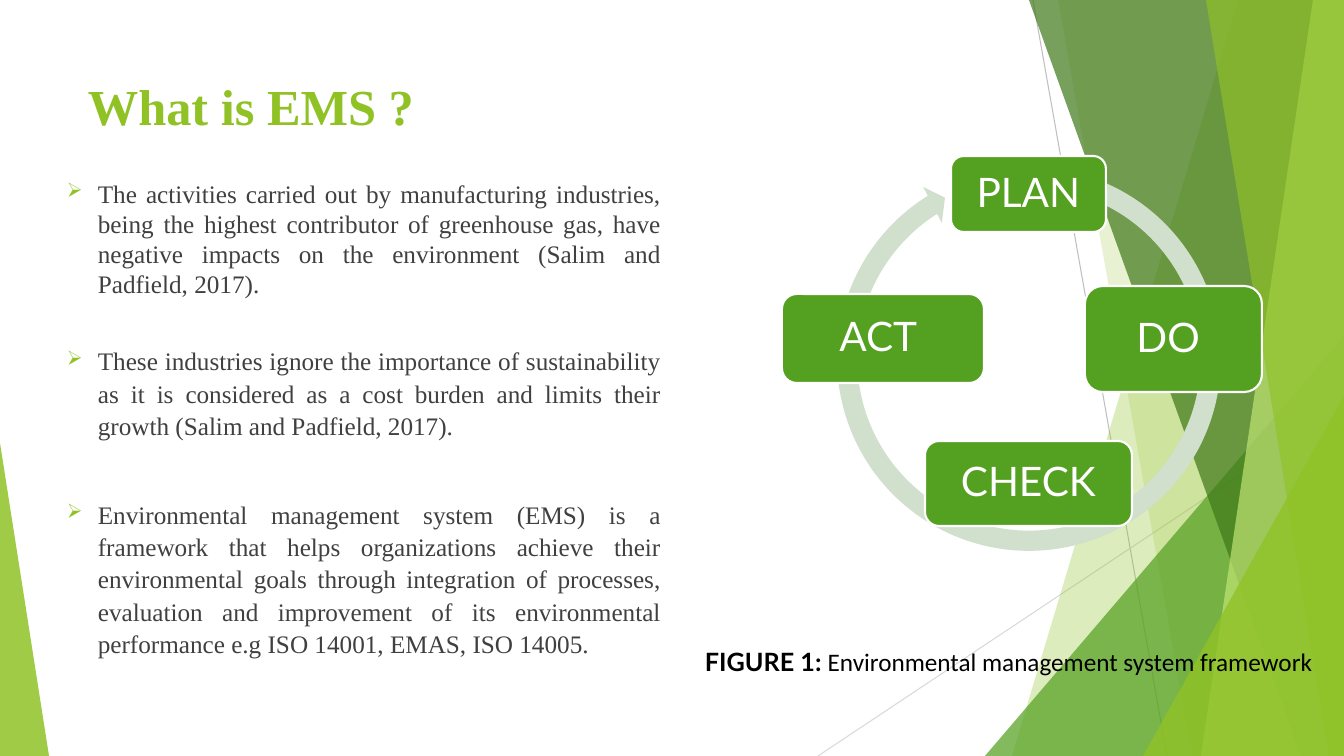
from lxml import etree
from pptx import Presentation
from pptx.dml.color import RGBColor
from pptx.enum.shapes import MSO_CONNECTOR, MSO_SHAPE
from pptx.enum.text import MSO_ANCHOR, PP_ALIGN
from pptx.oxml.ns import qn
from pptx.util import Emu, Pt

STRAIGHT = MSO_CONNECTOR.STRAIGHT
TRIANGLE = MSO_SHAPE.ISOSCELES_TRIANGLE
ROUNDED = MSO_SHAPE.ROUNDED_RECTANGLE
CIRCULAR_ARROW = MSO_SHAPE.CIRCULAR_ARROW
TOP, MIDDLE, BOTTOM = MSO_ANCHOR.TOP, MSO_ANCHOR.MIDDLE, MSO_ANCHOR.BOTTOM
LEFT, CENTER, JUSTIFY = PP_ALIGN.LEFT, PP_ALIGN.CENTER, PP_ALIGN.JUSTIFY

EMU_PER_PX = 914400 / 100.8
WIDTH, HEIGHT = 1344, 756

LIME, GREEN, DARK_GREEN, PALE_LIME = "90C226", "54A021", "3F7819", "C0E474"
WHITE, BLACK, BODY_GRAY, RING = "FFFFFF", "000000", "404040", "D1DFCD"
SERIF, SANS, CAPTION_FONT = "Times New Roman", "Lato", "Calibri"

POINTS = [
    ("The activities carried out by manufacturing industries, being the highest "
     "contributor of greenhouse gas, have negative impacts on the environment "
     "(Salim and Padfield, 2017). ", 1.0, 0),
    ("These industries ignore the importance of sustainability as it is considered "
     "as a cost burden and limits their growth (Salim and Padfield, 2017).", 1.07, 32),
    ("Environmental management system (EMS) is a framework that helps organizations "
     "achieve their environmental goals through integration of processes, evaluation "
     "and improvement of its environmental performance e.g ISO 14001, EMAS, "
     "ISO 14005. ", 1.07, 40),
]
STEPS = [
    ("PLAN", 951, 156, 155, 76),
    ("DO ", 1085, 286, 177, 106),
    ("CHECK", 925, 441, 207, 85),
    ("ACT ", 782, 294, 202, 89),
]


def px(value):
    return Emu(round(value * EMU_PER_PX))


def rgb(color):
    return RGBColor.from_string(color)


class SlideBuilder:
    def __init__(self, presentation):
        self.slide = presentation.slides.add_slide(presentation.slide_layouts[6])
        self.shapes = self.slide.shapes

    def style(self, shape, color, opacity=100):
        shape.shadow.inherit = False
        shape.fill.solid()
        shape.fill.fore_color.rgb = rgb(color)
        shape.line.fill.background()
        if opacity < 100:
            color_element = shape.fill._xPr.find(qn("a:solidFill"))[0]
            alpha = etree.SubElement(color_element, qn("a:alpha"))
            alpha.set("val", str(opacity * 1000))
        return shape

    def preset(self, kind, left, top, width, height, color, opacity=100, adjustments=()):
        shape = self.shapes.add_shape(kind, px(left), px(top), px(width), px(height))
        for index, value in enumerate(adjustments):
            shape.adjustments[index] = value
        return self.style(shape, color, opacity)

    def band(self, top_x, bottom_x, color, opacity):
        builder = self.shapes.build_freeform(top_x, 0, scale=EMU_PER_PX)
        builder.add_line_segments([(WIDTH, 0), (WIDTH, HEIGHT), (bottom_x, HEIGHT)])
        return self.style(builder.convert_to_shape(), color, opacity)

    def line(self, start, end, color):
        connector = self.shapes.add_connector(STRAIGHT, *map(px, start + end))
        connector.line.color.rgb = rgb(color)
        connector.line.width = Pt(0.75)
        etree.SubElement(connector._element.spPr, qn("a:effectLst"))

    def format_run(self, run, font, size, color, bold=False):
        run.font.name = font
        run.font.size = Pt(size)
        run.font.color.rgb = rgb(color)
        run.font.bold = bold

    def text_box(self, left, top, width, height, anchor=TOP):
        frame = self.shapes.add_textbox(px(left), px(top), px(width), px(height)).text_frame
        frame.word_wrap = True
        frame.vertical_anchor = anchor
        return frame

    def title(self, text, left, top, width, height):
        frame = self.text_box(left, top, width, height, BOTTOM)
        frame.text = text
        self.format_run(frame.paragraphs[0].runs[0], SERIF, 36, LIME, True)

    def bullet(self, paragraph):
        properties = paragraph._p.get_or_add_pPr()
        properties.set("marL", str(px(31)))
        properties.set("indent", str(px(-31)))
        bullet_color = etree.SubElement(properties, qn("a:buClr"))
        etree.SubElement(bullet_color, qn("a:srgbClr")).set("val", LIME)
        etree.SubElement(properties, qn("a:buSzPct")).set("val", "80000")
        etree.SubElement(properties, qn("a:buChar")).set("char", "➢")

    def bullets(self, points, left, top, width, height):
        frame = self.text_box(left, top, width, height)
        for index, (text, line_spacing, space_before) in enumerate(points):
            paragraph = frame.add_paragraph() if index else frame.paragraphs[0]
            paragraph.text = text
            paragraph.alignment = JUSTIFY
            paragraph.line_spacing = line_spacing
            paragraph.space_before = Pt(space_before)
            self.bullet(paragraph)
            self.format_run(paragraph.runs[0], SERIF, 18, BODY_GRAY)

    def caption(self, label, text, left, top, width, height):
        paragraph = self.text_box(left, top, width, height).paragraphs[0]
        paragraph.alignment = LEFT
        for part, font, bold in ((label, SANS, True), (text, CAPTION_FONT, False)):
            run = paragraph.add_run()
            run.text = part
            self.format_run(run, font, 18, BLACK, bold)

    def step(self, text, left, top, width, height):
        shape = self.preset(ROUNDED, left, top, width, height, GREEN)
        shape.line.color.rgb = rgb(WHITE)
        shape.line.width = Pt(1.5)
        frame = shape.text_frame
        frame.word_wrap = True
        frame.vertical_anchor = MIDDLE
        frame.text = text
        paragraph = frame.paragraphs[0]
        paragraph.alignment = CENTER
        paragraph.line_spacing = 0.9
        self.format_run(paragraph.runs[0], SANS, 29, WHITE)


def main():
    presentation = Presentation()
    presentation.slide_width = px(WIDTH)
    presentation.slide_height = px(HEIGHT)
    builder = SlideBuilder(presentation)

    builder.line((1033, 0), (1167, 756), "BFBFBF")
    builder.line((1344, 406), (818, 756), "D9D9D9")
    builder.band(1238, 1012, LIME, 30)
    builder.band(1058, 1192, LIME, 20)
    builder.preset(TRIANGLE, 985, 336, 359, 420, GREEN, 72, [1])
    builder.band(1029, 1301, DARK_GREEN, 70)
    builder.band(1313, 1201, PALE_LIME, 70)
    builder.band(1206, 1329, LIME, 65)
    builder.preset(TRIANGLE, 1143, 396, 201, 360, LIME, 80, [1])
    builder.preset(TRIANGLE, 0, 443, 49, 313, LIME, 85, [0])

    builder.title("What is EMS ?", 78, 31, 574, 110)
    builder.bullets(POINTS, 57, 173, 614, 509)
    builder.caption("FIGURE 1: ", "Environmental management system framework",
                    695, 641, 636, 40)

    builder.preset(CIRCULAR_ARROW, 827, 157, 404, 404, RING,
                   adjustments=[0.05, 2.73, 142.77, 171.22, 0.05])
    for step in STEPS:
        builder.step(*step)

    presentation.save("out.pptx")


if __name__ == "__main__":
    main()
